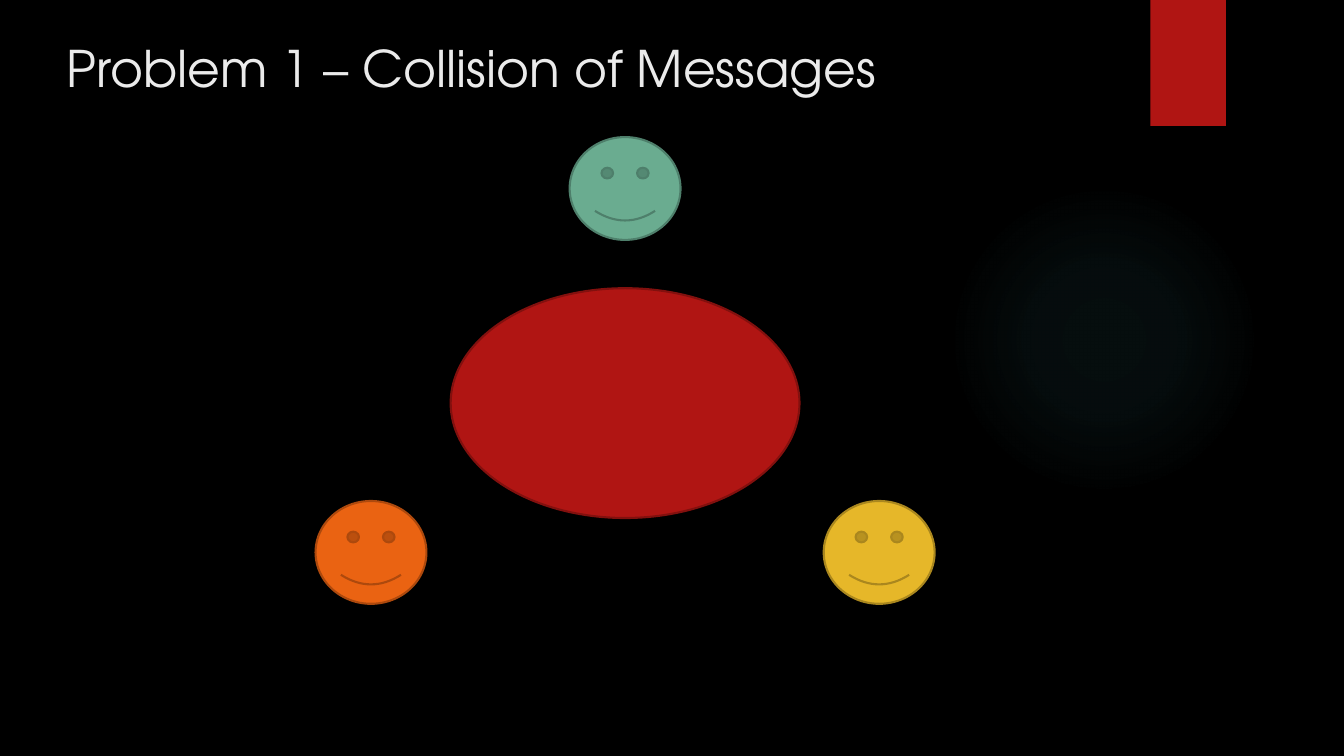
from pptx import Presentation
from pptx.dml.color import RGBColor
from pptx.enum.shapes import MSO_SHAPE as Preset
from pptx.enum.text import MSO_ANCHOR as Anchor, PP_ALIGN as Align
from pptx.oxml import parse_xml
from pptx.oxml.ns import nsdecls, qn
from pptx.util import Inches, Pt

SLIDE_WIDTH, SLIDE_HEIGHT = 13.33, 7.5
FONT = "TeX Gyre Adventor"
RED = "B01513"
GLOW = "50B9C1"
GLOW_STOPS = ((0, 7), (36, 6), (69, 0))
TABLE_SIZE = (3.46, 2.28)
FACE_SIZE = (1.1, 1.02)
FACES = (
    (-1, 1, "EA6312", "AD490D"),
    (1, 1, "E6B729", "AA871E"),
    (0, 0, "6AAC90", "4E7F6B"),
)


def color(value):
    return RGBColor.from_string(value)


def write_text(shape, text, size, fill, font=FONT, align=Align.LEFT, anchor=Anchor.TOP):
    frame = shape.text_frame
    frame.word_wrap = True
    frame.vertical_anchor = anchor
    paragraph = frame.paragraphs[0]
    paragraph.alignment = align
    run = paragraph.add_run()
    run.text = text
    run.font.name = font
    run.font.size = Pt(size)
    run.font.color.rgb = color(fill)


def add_figure(slide, preset, box, fill=None, line=None):
    shape = slide.shapes.add_shape(preset, *map(Inches, box))
    shape.shadow.inherit = False
    if fill:
        shape.fill.solid()
        shape.fill.fore_color.rgb = color(fill)
    if line:
        shape.line.color.rgb = color(line)
        shape.line.width = Pt(1.5)
    else:
        shape.line.fill.background()
    return shape


def centered(center_x, center_y, size):
    width, height = size
    return center_x - width / 2, center_y - height / 2, width, height


def add_glow(slide, box):
    shape = add_figure(slide, Preset.OVAL, box)
    stops = "".join(
        f'<a:gs pos="{position * 1000}"><a:srgbClr val="{GLOW}">'
        f'<a:alpha val="{alpha * 1000}"/></a:srgbClr></a:gs>'
        for position, alpha in GLOW_STOPS
    )
    gradient = parse_xml(
        f'<a:gradFill {nsdecls("a")} rotWithShape="1"><a:gsLst>{stops}</a:gsLst>'
        '<a:path path="circle"><a:fillToRect l="50000" t="50000" r="50000" b="50000"/>'
        "</a:path></a:gradFill>"
    )
    shape.element.spPr.find(qn("a:prstGeom")).addnext(gradient)


def add_title(slide, box, text):
    title = slide.shapes.title
    title.left, title.top, title.width, title.height = map(Inches, box)
    write_text(title, text, size=36, fill="EBEBEB")


def add_meeting(slide, box):
    left, top, width, height = box
    middle = left + width / 2
    face_width, face_height = FACE_SIZE
    reach = (width - face_width) / 2
    drop = height - face_height
    table_box = centered(middle, top + 0.57 * height, TABLE_SIZE)
    add_figure(slide, Preset.OVAL, table_box, RED, "82100E")
    for column, row, fill, line in FACES:
        center_y = top + face_height / 2 + row * drop
        face_box = centered(middle + column * reach, center_y, FACE_SIZE)
        add_figure(slide, Preset.SMILEY_FACE, face_box, fill, line)


def main():
    presentation = Presentation()
    presentation.slide_width = Inches(SLIDE_WIDTH)
    presentation.slide_height = Inches(SLIDE_HEIGHT)
    slide = presentation.slides.add_slide(presentation.slide_layouts[5])
    slide.background.fill.solid()
    slide.background.fill.fore_color.rgb = color("000000")
    add_glow(slide, (9.41, 1.83, 3.08, 3.08))
    add_figure(slide, Preset.RECTANGLE, (11.41, 0, 0.75, 1.25), RED)
    add_title(slide, (0.56, 0.32, 11.33, 1.34), "Problem 1 – Collision of Messages")
    add_meeting(slide, (3.13, 1.36, 6.14, 4.63))
    presentation.save("out.pptx")


if __name__ == "__main__":
    main()
